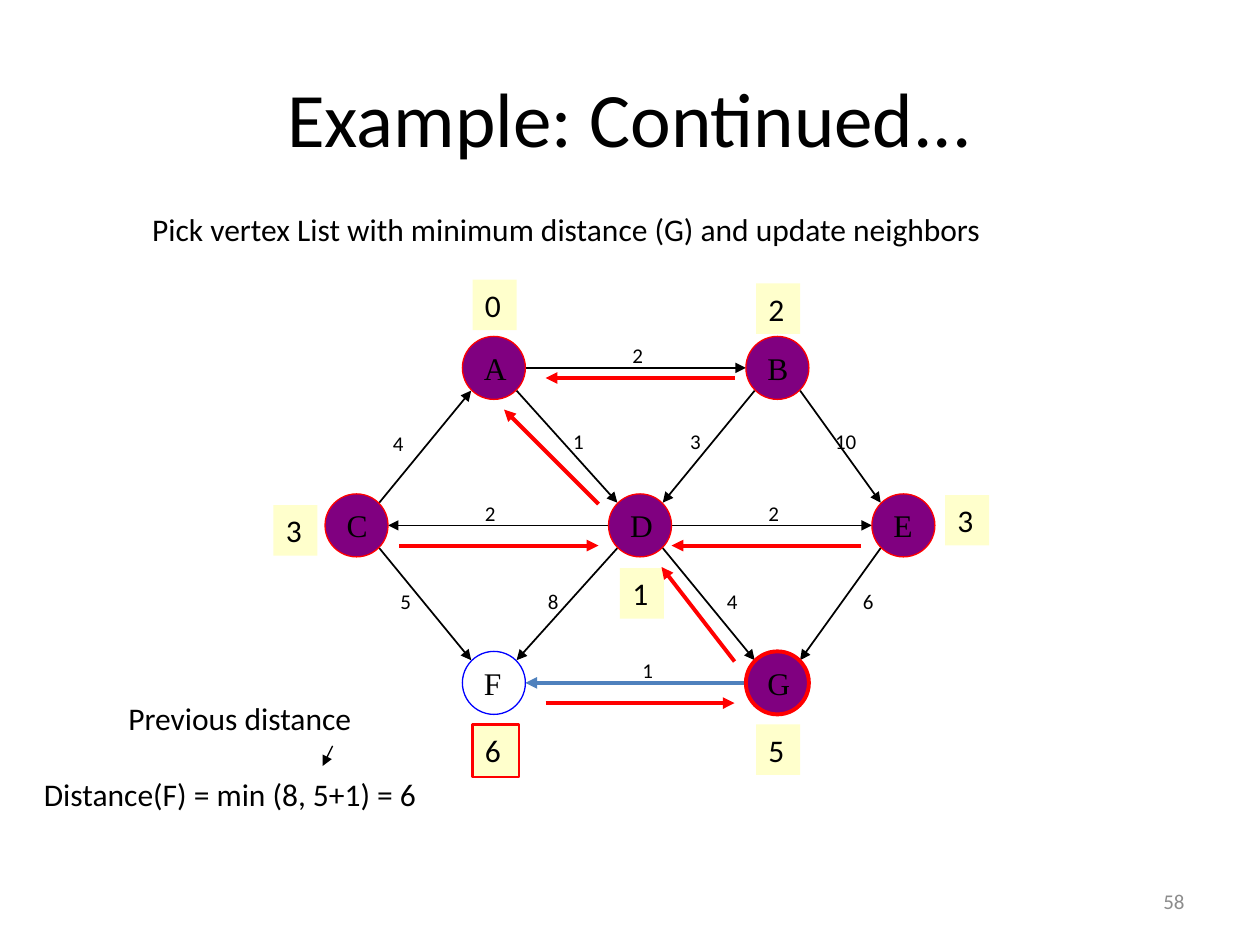
"""Build a slide showing one step of a shortest-path search on a directed graph."""
from dataclasses import dataclass

from lxml.etree import SubElement
from pptx import Presentation
from pptx.dml.color import RGBColor
from pptx.enum.shapes import MSO_CONNECTOR, MSO_SHAPE
from pptx.enum.text import MSO_ANCHOR, MSO_AUTO_SIZE, PP_ALIGN
from pptx.oxml.ns import qn
from pptx.util import Inches, Pt


@dataclass(frozen=True)
class Theme:
    body: str = "Calibri"
    serif: str = "Times New Roman"
    black: RGBColor = RGBColor(0x00, 0x00, 0x00)
    grey: RGBColor = RGBColor(0x8C, 0x8C, 0x8C)
    red: RGBColor = RGBColor(0xFF, 0x00, 0x00)
    blue: RGBColor = RGBColor(0x00, 0x00, 0xFF)
    steel: RGBColor = RGBColor(0x4F, 0x81, 0xBD)
    purple: RGBColor = RGBColor(0x80, 0x00, 0x80)
    cream: RGBColor = RGBColor(0xFF, 0xFF, 0xCC)
    title_size: int = 44
    text_size: int = 18
    small_size: int = 12


theme = Theme()
deck = Presentation()
deck.slide_width, deck.slide_height = Inches(10), Inches(7.5)
page = deck.slides.add_slide(deck.slide_layouts[6])


def write(box, text, size=theme.text_size, font=theme.body, color=theme.black,
          align=PP_ALIGN.LEFT, anchor=MSO_ANCHOR.MIDDLE, wrap=False, grow=False):
    frame = box.text_frame
    frame.word_wrap = wrap
    frame.auto_size = MSO_AUTO_SIZE.SHAPE_TO_FIT_TEXT if grow else MSO_AUTO_SIZE.NONE
    frame.vertical_anchor = anchor
    para = frame.paragraphs[0]
    para.alignment = align
    span = para.add_run()
    span.text = text
    span.font.name, span.font.size = font, Pt(size)
    span.font.color.rgb = color


def arrow(start, end, color, width):
    points = [Inches(value) for value in (*start, *end)]
    connector = page.shapes.add_connector(MSO_CONNECTOR.STRAIGHT, *points)
    connector.line.color.rgb = color
    connector.line.width = Pt(width)
    properties = connector._element.spPr
    SubElement(properties.find(qn("a:ln")), qn("a:tailEnd"), type="triangle")
    SubElement(properties, qn("a:effectLst"))


number_box = page.shapes.add_textbox(Inches(7.17), Inches(6.95), Inches(2.33), Inches(0.4))
write(number_box, "58", theme.small_size, color=theme.grey, align=PP_ALIGN.RIGHT, wrap=True)
title_box = page.shapes.add_textbox(Inches(0.5), Inches(0.3), Inches(9), Inches(1.25))
write(title_box, "Example: Continued...", theme.title_size, align=PP_ALIGN.CENTER, wrap=True)

radius = 0.25
diagonal = 0.18
centers = {
    "A": (3.92, 2.92), "B": (6.17, 2.92),
    "C": (2.83, 4.17), "D": (5.08, 4.17), "E": (7.17, 4.17),
    "F": (3.92, 5.42), "G": (6.17, 5.42),
}
edges = [
    ("A", "B", "2", 4.92, 2.67), ("A", "D", "1", 4.45, 3.35),
    ("B", "D", "3", 5.38, 3.35), ("B", "E", "10", 6.53, 3.35),
    ("C", "A", "4", 3.02, 3.37), ("C", "F", "5", 3.08, 4.62),
    ("D", "C", "2", 3.75, 3.92), ("D", "E", "2", 6, 3.92),
    ("D", "F", "8", 4.25, 4.62), ("D", "G", "4", 5.67, 4.62),
    ("E", "G", "6", 6.75, 4.62), ("G", "F", "1", 5, 5.17),
]
for source, target, weight, left, top in edges:
    (x1, y1), (x2, y2) = centers[source], centers[target]
    side = 1 if x2 > x1 else -1
    level = (y2 > y1) - (y2 < y1)
    dx = side * (diagonal if level else radius)
    dy = level * diagonal
    current = (source, target) == ("G", "F")
    arrow((x1 + dx, y1 + dy), (x2 - dx, y2 - dy),
          theme.steel if current else theme.black, 2.25 if current else 1)

for name, (x, y) in centers.items():
    vertex = page.shapes.add_shape(MSO_SHAPE.OVAL, Inches(x - radius), Inches(y - radius),
                                   Inches(2 * radius), Inches(2 * radius))
    vertex.shadow.inherit = False
    if name == "F":
        vertex.fill.background()
    else:
        vertex.fill.solid()
        vertex.fill.fore_color.rgb = theme.purple
    vertex.line.color.rgb = theme.blue if name == "F" else theme.red
    vertex.line.width = Pt(2.25 if name == "G" else 0.75)
    write(vertex, name, font=theme.serif)

for source, target, weight, left, top in edges:
    weight_box = page.shapes.add_textbox(Inches(left), Inches(top),
                                         Inches(0.2 + 0.1 * len(weight)), Inches(0.3))
    write(weight_box, weight, theme.small_size, grow=True)

distances = [
    ("A", "0", 3.75, 2.22), ("B", "2", 6, 2.25), ("C", "3", 2.17, 4.01),
    ("E", "3", 7.5, 3.93), ("D", "1", 4.92, 4.51), ("F", "6", 3.75, 5.75),
    ("G", "5", 6, 5.75),
]
for name, distance, left, top in distances:
    updated = name == "F"
    width, height = (0.37, 0.42) if updated else (0.35, 0.4)
    tag = page.shapes.add_shape(MSO_SHAPE.RECTANGLE, Inches(left), Inches(top),
                                Inches(width), Inches(height))
    tag.shadow.inherit = False
    tag.fill.solid()
    tag.fill.fore_color.rgb = theme.cream
    if updated:
        tag.line.color.rgb = theme.red
        tag.line.width = Pt(1.25)
    else:
        tag.line.fill.background()
    write(tag, distance, anchor=MSO_ANCHOR.TOP, grow=True)

back_pointers = [
    ((4.75, 4), (4, 3.25)), ((5.83, 3), (4.33, 3)), ((6.83, 4.33), (5.33, 4.33)),
    ((5.83, 5.25), (5.25, 4.5)), ((4.33, 5.58), (5.83, 5.58)), ((3.17, 4.33), (4.75, 4.33)),
]
for start, end in back_pointers:
    arrow(start, end, theme.red, 2.25)

notes = [
    ("Distance(F) = min (8, 5+1) = 6", 0.25, 6.1, 3.92, True),
    ("Previous distance", 0.92, 5.5, 2.25, True),
    ("Pick vertex List with minimum distance (G) and update neighbors", 1.11, 1.62, 7.44, False),
]
for text, left, top, width, wrap in notes:
    note_box = page.shapes.add_textbox(Inches(left), Inches(top), Inches(width), Inches(0.4))
    write(note_box, text, anchor=MSO_ANCHOR.TOP, wrap=wrap, grow=True)
arrow((2.64, 5.92), (2.56, 6.08), theme.black, 0.75)

deck.save("out.pptx")
